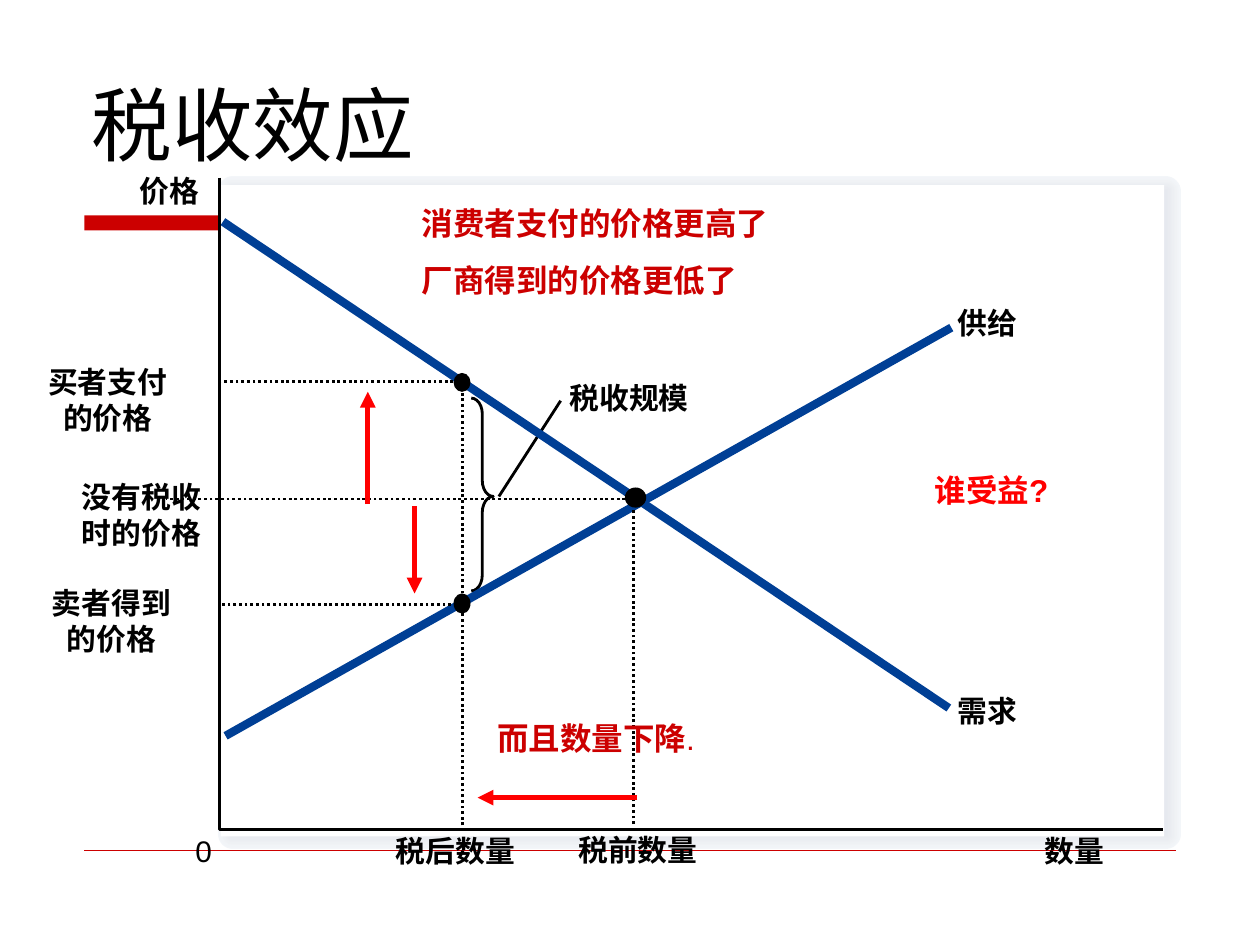
from lxml import etree
from pptx import Presentation
from pptx.dml.color import RGBColor
from pptx.enum.dml import MSO_LINE
from pptx.enum.shapes import MSO_CONNECTOR, MSO_SHAPE
from pptx.enum.text import MSO_ANCHOR, MSO_AUTO_SIZE, PP_ALIGN
from pptx.oxml.ns import qn
from pptx.util import Pt

STRAIGHT = MSO_CONNECTOR.STRAIGHT
RECTANGLE, OVAL, BRACE = MSO_SHAPE.RECTANGLE, MSO_SHAPE.OVAL, MSO_SHAPE.RIGHT_BRACE
DOTTED = MSO_LINE.ROUND_DOT
LEFT, CENTER = PP_ALIGN.LEFT, PP_ALIGN.CENTER

BLACK = RGBColor(0x00, 0x00, 0x00)
WHITE = RGBColor(0xFF, 0xFF, 0xFF)
DARK_RED = RGBColor(0xCC, 0x00, 0x00)
RED = RGBColor(0xFF, 0x00, 0x00)
BLUE = RGBColor(0x00, 0x3F, 0x95)
THIN = 1.62

prs = Presentation()
prs.slide_width, prs.slide_height = Pt(720), Pt(540)
slide = prs.slides.add_slide(prs.slide_layouts[6])
shapes = slide.shapes


def add_text(box, paragraphs, size=17, color=BLACK, align=LEFT, font="Arial",
             wrap=False, inset=(0, 0), gap=0, anchor=MSO_ANCHOR.TOP):
    """Each paragraph is a list of (text, bold) runs; box is left, top, width, height."""
    frame = shapes.add_textbox(*map(Pt, box)).text_frame
    frame.word_wrap = wrap
    frame.auto_size = MSO_AUTO_SIZE.NONE
    frame.vertical_anchor = anchor
    frame.margin_left = frame.margin_right = Pt(inset[0])
    frame.margin_top = frame.margin_bottom = Pt(inset[1])
    for i, runs in enumerate(paragraphs):
        paragraph = frame.add_paragraph() if i else frame.paragraphs[0]
        paragraph.alignment = align
        if i:
            paragraph.space_before = Pt(gap)
        for text, bold in runs:
            run = paragraph.add_run()
            run.text = text
            run.font.name, run.font.size, run.font.bold = font, Pt(size), bold
            run.font.color.rgb = color


def add_line(points, color, width, dash=None, arrow=False):
    line = shapes.add_connector(STRAIGHT, *map(Pt, points))
    line.line.color.rgb = color
    line.line.width = Pt(width)
    if dash:
        line.line.dash_style = dash
    if arrow:
        etree.SubElement(line.line._get_or_add_ln(), qn("a:tailEnd"), type="triangle")
    etree.SubElement(line._element.spPr, qn("a:effectLst"))


# Theme bar, footer rule and title
bar = shapes.add_shape(RECTANGLE, Pt(48.2), Pt(123.1), Pt(366.5), Pt(8.6))
bar.shadow.inherit = False
bar.fill.solid()
bar.fill.fore_color.rgb = DARK_RED
bar.line.fill.background()
add_line((48.2, 486, 672, 486), DARK_RED, 0.25)
add_text((45.4, 23.8, 630, 77.8), [[("税收效应", False)]], size=46, font="DejaVu Sans",
         wrap=True, inset=(7.2, 3.6), anchor=MSO_ANCHOR.BOTTOM)

# Soft shadow of the plot area, from the widest outline to the narrowest
shadow_layers = [
    ("F3F6F9", 17.5), ("F2F4F8", 16), ("F1F4F7", 14.37), ("F0F2F5", 12.75),
    ("EEF1F4", 11.11), ("EDEFF3", 9.64), ("EBEEF2", 8), ("EAECF1", 6.38),
    ("E9EBF0", 4.75), ("E7EAEF", 3.25), ("E6E9EF", 1.62),
]
for tint, width in shadow_layers:
    layer = shapes.add_shape(RECTANGLE, Pt(133.2), Pt(109.4), Pt(532.8), Pt(367.2))
    layer.shadow.inherit = False
    layer.fill.solid()
    layer.fill.fore_color.rgb = layer.line.color.rgb = RGBColor.from_string(tint)
    layer.line.width = Pt(width)

plot = shapes.add_shape(RECTANGLE, Pt(126), Pt(105.8), Pt(539.3), Pt(372.2))
plot.shadow.inherit = False
plot.fill.solid()
plot.fill.fore_color.rgb = WHITE
plot.line.fill.background()

# Size of the tax
brace = shapes.add_shape(BRACE, Pt(269.3), Pt(227.5), Pt(12.6), Pt(110.2))
brace.shadow.inherit = False
brace.adjustments[0], brace.adjustments[1] = 0.72, 0.51
brace.fill.background()
brace.line.color.rgb = BLACK
brace.line.width = Pt(THIN)
add_line((285.1, 283.7, 320.4, 229), BLACK, THIN)

# Demand and supply
add_line((127.4, 126.7, 542.2, 404.6), BLUE, 4.75)
add_line((543.6, 187.2, 128.9, 420.5), BLUE, 4.75)

# Axes, then guides at the quantity before and after tax
polylines = [
    ([(125.3, 101.5), (125.3, 473.8), (664.6, 473.8)], None),
    ([(362.2, 470.9), (362.2, 285.1), (95, 285.1)], DOTTED),
    ([(264.2, 471.6), (264.2, 218.2), (125.3, 218.2)], DOTTED),
]
for (start, *rest), dash in polylines:
    builder = shapes.build_freeform(Pt(start[0]), Pt(start[1]))
    builder.add_line_segments([(Pt(x), Pt(y)) for x, y in rest], close=False)
    outline = builder.convert_to_shape()
    outline.shadow.inherit = False
    outline.fill.background()
    outline.line.color.rgb = BLACK
    outline.line.width = Pt(THIN)
    if dash:
        outline.line.dash_style = dash
add_line((264.2, 345.6, 125.3, 345.6), BLACK, THIN, DOTTED)

# Equilibrium, seller and buyer points
for box in [(357.1, 278.6, 12.2, 11.5), (259.2, 339.1, 9.7, 11.5), (259.2, 213.1, 9.7, 10.8)]:
    point = shapes.add_shape(OVAL, *map(Pt, box))
    point.shadow.inherit = False
    point.fill.solid()
    point.fill.fore_color.rgb = BLACK
    point.line.fill.background()

# Diagram labels
labels = [
    ((325.4, 216.7, 68.4, 20.2), ["税收规模"], True, LEFT),
    ((596.9, 475.9, 33.8, 20.2), ["数量"], True, LEFT),
    ((111.6, 475.9, 9.4, 20.2), ["0"], False, LEFT),
    ((79.9, 98.6, 33.8, 20.2), ["价格"], True, LEFT),
    ((27.4, 208.1, 68.4, 41), ["买者支付", "的价格"], True, CENTER),
    ((29.5, 334.1, 68.4, 41), ["卖者得到", "的价格"], True, CENTER),
    ((547.2, 396, 33.8, 20.2), ["需求"], True, LEFT),
    ((547.2, 174.2, 33.8, 20.2), ["供给"], True, LEFT),
    ((46.8, 273.6, 68.4, 41), ["没有税收", "时的价格"], True, LEFT),
    ((330.5, 475.2, 68.4, 20.2), ["税前数量"], True, LEFT),
    ((226.1, 475.9, 68.4, 20.2), ["税后数量"], True, CENTER),
]
for box, lines, bold, align in labels:
    add_text(box, [[(line, bold)] for line in lines], align=align)

# Conclusions
conclusions = [
    ((234, 113, 354.2, 61.9),
     [[("消费者支付的价格更高了", True)], [("厂商得到的价格更低了", True)]], DARK_RED, LEFT),
    ((229, 407.5, 223.2, 28.8), [[("而且数量下降", True), (".", False)]], DARK_RED, CENTER),
    ((527, 265.7, 154.1, 28.8), [[("谁受益?", True)]], RED, LEFT),
]
for box, paragraphs, color, align in conclusions:
    add_text(box, paragraphs, size=18, color=color, align=align, wrap=True,
             inset=(7.2, 3.6), gap=11.2)

# Price rises for buyers, falls for sellers, and quantity shrinks
for points in [(210.2, 288, 210.2, 223.9), (236.9, 289.4, 236.9, 339.1),
               (364.3, 455.8, 272.9, 455.8)]:
    add_line(points, RED, 3, arrow=True)

prs.save("out.pptx")
